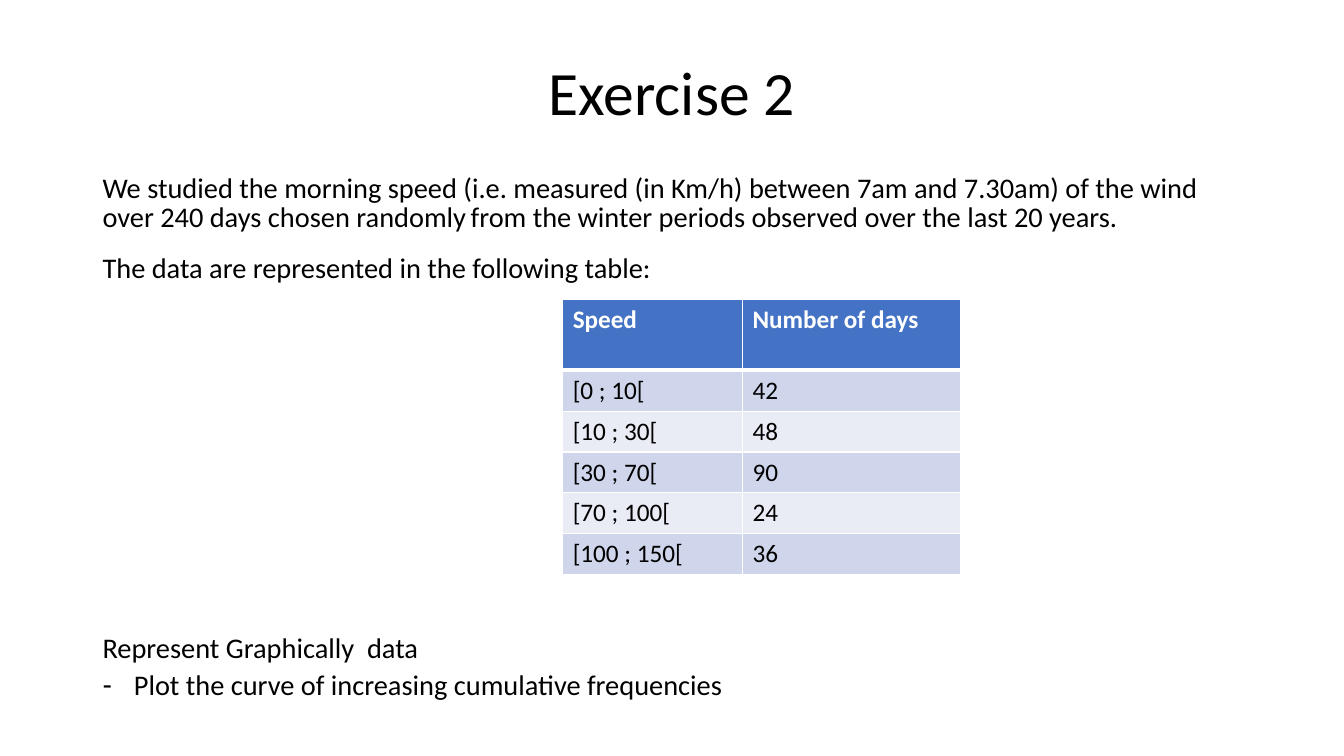
from dataclasses import dataclass

from lxml import etree
from pptx import Presentation
from pptx.dml.color import RGBColor
from pptx.enum.text import MSO_ANCHOR, MSO_AUTO_SIZE, PP_ALIGN
from pptx.oxml.ns import qn
from pptx.util import Cm, Pt

CENTER, LEFT = PP_ALIGN.CENTER, PP_ALIGN.LEFT
TOP, MIDDLE = MSO_ANCHOR.TOP, MSO_ANCHOR.MIDDLE
NO_AUTOFIT = MSO_AUTO_SIZE.NONE
TITLE_AND_CONTENT = 1


@dataclass(frozen=True)
class Theme:
    font: str = "Calibri"
    ink: str = "000000"
    paper: str = "FFFFFF"
    header: str = "4472C4"
    bands: tuple = ("CFD5EA", "E9EBF5")
    title_size: float = 44
    body_size: float = 20.3
    gap_size: float = 14
    table_size: float = 18
    thin_line: float = 1
    thick_line: float = 3


class ExercisePage:
    def __init__(self, deck, theme):
        self.theme = theme
        self.page = deck.slides.add_slide(deck.slide_layouts[TITLE_AND_CONTENT])

    def add_span(self, para, text, size, color, bold=False):
        span = para.add_run()
        span.text = text
        span.font.name = self.theme.font
        span.font.size = Pt(size)
        span.font.bold = bold
        span.font.color.rgb = RGBColor.from_string(color)

    def place(self, box, left, top, width, height, anchor):
        box.left, box.top = Cm(left), Cm(top)
        box.width, box.height = Cm(width), Cm(height)
        frame = box.text_frame
        frame.word_wrap = True
        frame.auto_size = NO_AUTOFIT
        frame.vertical_anchor = anchor
        return frame

    def title(self, text, *place):
        para = self.place(self.page.shapes.title, *place, MIDDLE).paragraphs[0]
        para.alignment = CENTER
        para.line_spacing = 0.9
        self.add_span(para, text, self.theme.title_size, self.theme.ink)

    def set_bullet(self, para, bullet):
        indent = Cm(0.79) if bullet else 0
        properties = para._p.get_or_add_pPr()
        properties.set("marL", str(indent))
        properties.set("indent", str(-indent))
        if bullet:
            etree.SubElement(properties, qn("a:buFontTx"))
            etree.SubElement(properties, qn("a:buChar"), char=bullet)
        else:
            etree.SubElement(properties, qn("a:buNone"))

    def body(self, paragraphs, *place):
        frame = self.place(self.page.placeholders[1], *place, TOP)
        for index, (space_before, bullet, spans) in enumerate(paragraphs):
            para = frame.add_paragraph() if index else frame.paragraphs[0]
            self.set_bullet(para, bullet)
            para.alignment = LEFT
            para.line_spacing = 0.87
            para.space_before = Pt(space_before)
            para.space_after = Pt(0)
            for text, size in spans:
                self.add_span(para, text, size, self.theme.ink)

    def set_borders(self, cell, is_header):
        properties = cell._tc.get_or_add_tcPr()
        for position, side in enumerate(("lnL", "lnR", "lnT", "lnB")):
            thick = is_header and side == "lnB"
            width = self.theme.thick_line if thick else self.theme.thin_line
            line = etree.Element(qn(f"a:{side}"), w=str(Pt(width)))
            fill = etree.SubElement(line, qn("a:solidFill"))
            etree.SubElement(fill, qn("a:srgbClr"), val=self.theme.paper)
            properties.insert(position, line)

    def table(self, rows, left, top, widths, header_height, row_height):
        heights = [header_height] + [row_height] * (len(rows) - 1)
        table = self.page.shapes.add_table(
            len(rows), len(widths), Cm(left), Cm(top), Cm(sum(widths)), Cm(sum(heights))
        ).table
        for column, width in zip(table.columns, widths):
            column.width = Cm(width)
        for row_index, values in enumerate(rows):
            table.rows[row_index].height = Cm(heights[row_index])
            is_header = row_index == 0
            fill = self.theme.header if is_header else self.theme.bands[(row_index - 1) % 2]
            color = self.theme.paper if is_header else self.theme.ink
            for column_index, text in enumerate(values):
                cell = table.cell(row_index, column_index)
                cell.fill.solid()
                cell.fill.fore_color.rgb = RGBColor.from_string(fill)
                self.set_borders(cell, is_header)
                para = cell.text_frame.paragraphs[0]
                self.add_span(para, text, self.theme.table_size, color, is_header)


def main():
    deck = Presentation()
    deck.slide_width, deck.slide_height = Cm(33.87), Cm(19.05)
    theme = Theme()
    exercise = ExercisePage(deck, theme)
    size = theme.body_size

    exercise.title("Exercise 2", 2.33, 0.58, 29.21, 3.68)
    exercise.body(
        [
            (0, None, [
                ("We studied the morning speed (i.e. measured (in Km/h) between 7am and 7.30am) "
                 "of the wind over 240 days chosen randomly", size),
                (" ", theme.gap_size),
                ("from the winter periods observed over the last 20 years.", size),
            ]),
            (15, None, [("The data are represented in the following table:", size)]),
            (250, None, [("Represent Graphically  data", size)]),
            (5.7, "-", [("Plot the curve of increasing cumulative frequencies", size)]),
        ],
        2.33, 4.27, 29.21, 13.46,
    )
    exercise.table(
        [
            ("Speed", "Number of days"),
            ("[0 ; 10[", "42"),
            ("[10 ; 30[", "48"),
            ("[30 ; 70[", "90"),
            ("[70 ; 100[", "24"),
            ("[100 ; 150[", "36"),
        ],
        left=14.18, top=7.55, widths=(4.53, 5.51), header_height=1.78, row_height=1.03,
    )
    deck.save("out.pptx")


if __name__ == "__main__":
    main()
